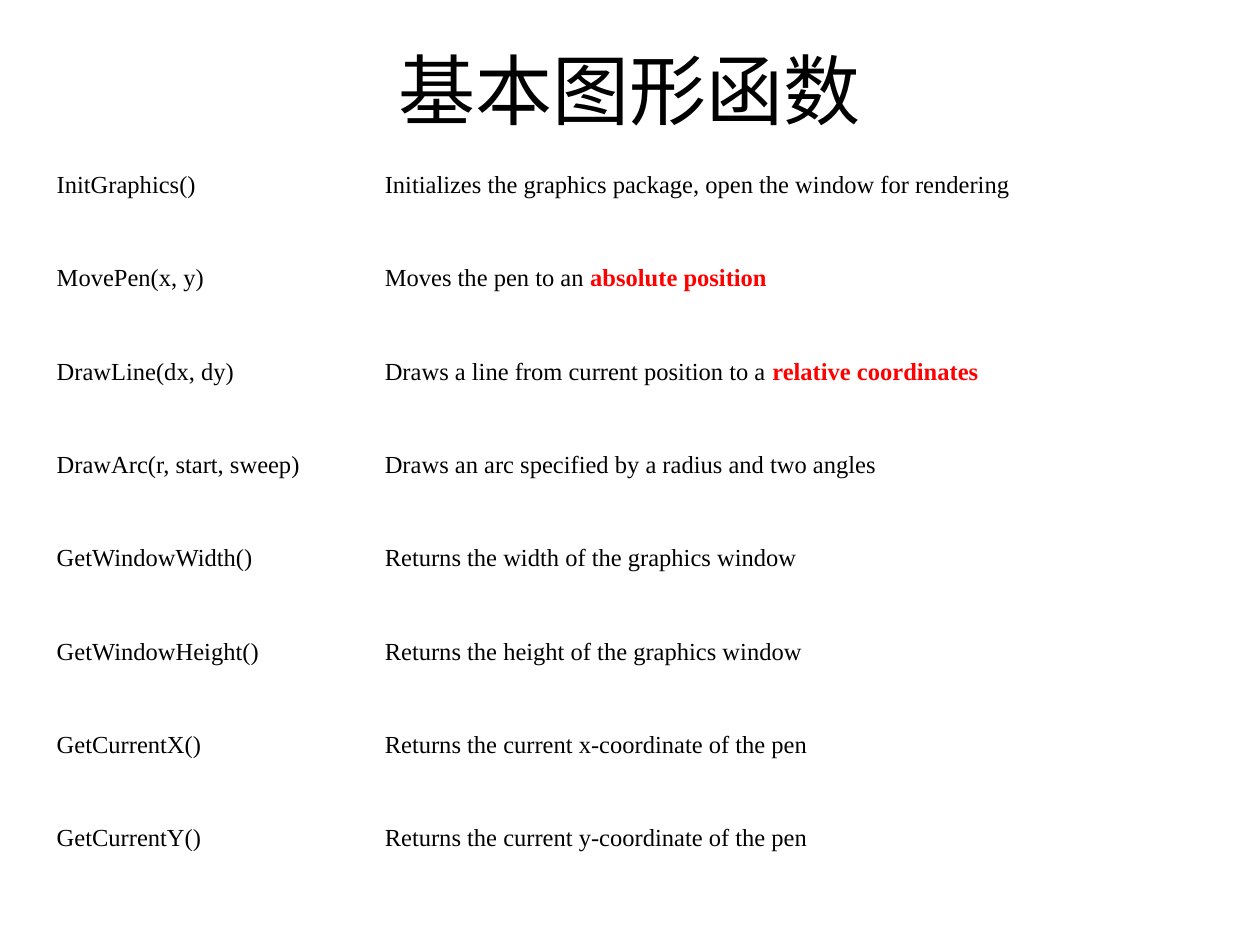
import pptx
import pptx.util
import pptx.dml.color
import pptx.enum.text

COLORS = {"text": "000000", "accent": "FF0000", "background": "FFFFFF"}
FONT = "Times New Roman"
WIDTH, HEIGHT = pptx.util.Inches(10), pptx.util.Inches(7.5)

# Each row: function name, description, highlighted ending
FUNCTIONS = [
    ("InitGraphics()", "Initializes the graphics package, open the window for rendering", ""),
    ("MovePen(x, y)", "Moves the pen to an ", "absolute position"),
    ("DrawLine(dx, dy)", "Draws a line from current position to a ", "relative coordinates"),
    ("DrawArc(r, start, sweep)", "Draws an arc specified by a radius and two angles", ""),
    ("GetWindowWidth()", "Returns the width of the graphics window", ""),
    ("GetWindowHeight()", "Returns the height of the graphics window", ""),
    ("GetCurrentX()", "Returns the current x-coordinate of the pen", ""),
    ("GetCurrentY()", "Returns the current y-coordinate of the pen", ""),
]


def rgb(name):
    return pptx.dml.color.RGBColor.from_string(COLORS[name])


def add_run(p, text, size, color="text", bold=False):
    r = p.add_run()
    r.text = text
    r.font.name = FONT
    r.font.size = pptx.util.Pt(size)
    r.font.bold = bold
    r.font.color.rgb = rgb(color)


def place_title(s, text, box):
    sp = s.shapes.title
    sp.left, sp.top, sp.width, sp.height = box
    tf = sp.text_frame
    tf.word_wrap = True
    tf.vertical_anchor = pptx.enum.text.MSO_ANCHOR.MIDDLE
    p = tf.paragraphs[0]
    p.alignment = pptx.enum.text.PP_ALIGN.CENTER
    add_run(p, text, 44)


def place_function_table(s, functions, box):
    left, top, width, height = box
    table = s.shapes.add_table(len(functions), 2, left, top, width, height).table
    table.first_row = table.horz_banding = False
    name_width = int(width * 0.28)
    table.columns[0].width = name_width
    table.columns[1].width = width - name_width
    for row, (name, description, highlight) in zip(table.rows, functions):
        for cell, text in zip(row.cells, (name, description)):
            cell.fill.background()
            add_run(cell.text_frame.paragraphs[0], text, 14)
        if highlight:
            add_run(row.cells[1].text_frame.paragraphs[0], highlight, 14, "accent", True)


def main():
    prs = pptx.Presentation()
    prs.slide_width, prs.slide_height = WIDTH, HEIGHT
    s = prs.slides.add_slide(prs.slide_layouts[5])
    s.background.fill.solid()
    s.background.fill.fore_color.rgb = rgb("background")

    place_title(s, "基本图形函数", (0, int(HEIGHT * 0.01), WIDTH, int(HEIGHT / 6)))
    margin = int(WIDTH * 0.035)
    place_function_table(
        s, FUNCTIONS,
        (margin, int(HEIGHT * 0.175), WIDTH - 2 * margin, int(HEIGHT * 0.79)))
    prs.save("out.pptx")


if __name__ == "__main__":
    main()
